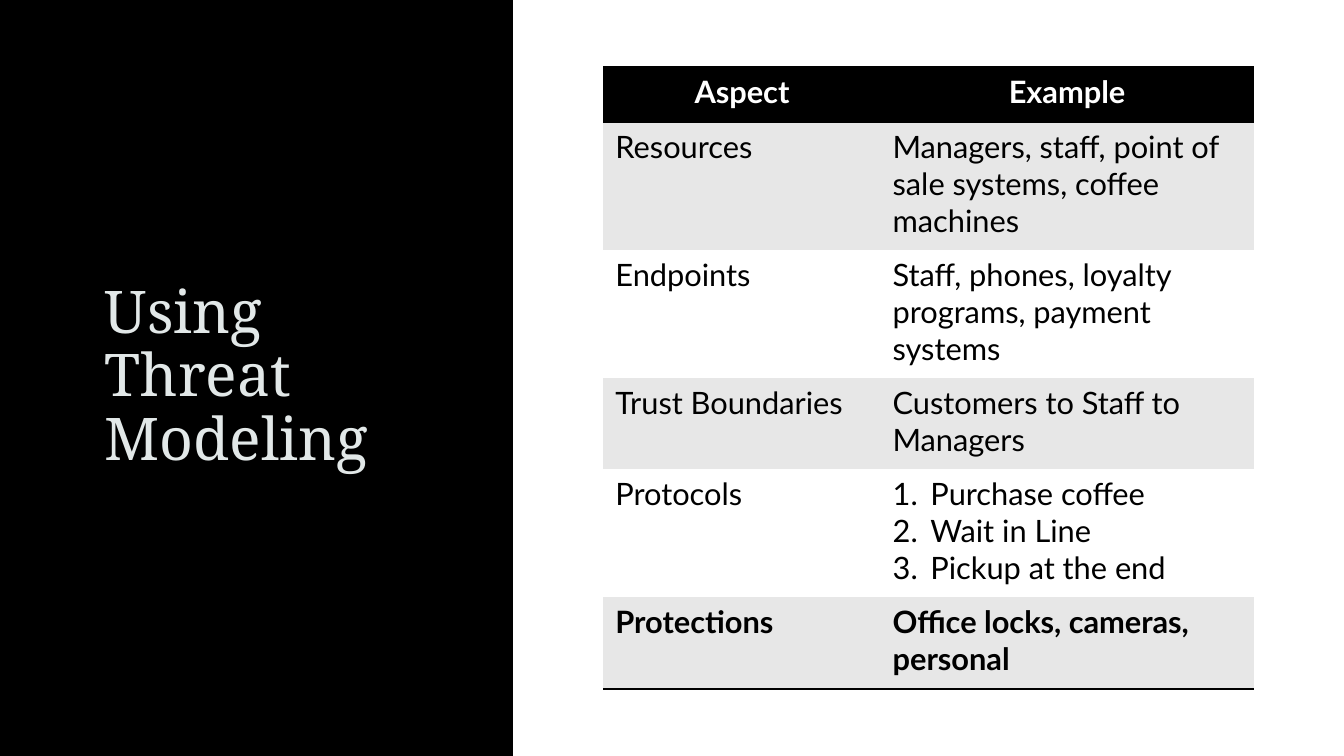
import pptx
import pptx.dml.color
import pptx.enum.shapes
import pptx.enum.text
import pptx.oxml
import pptx.oxml.ns
import pptx.util

Pt = pptx.util.Pt
ALIGN = pptx.enum.text.PP_ALIGN
ANCHOR = pptx.enum.text.MSO_ANCHOR

COLORS = {"black": "000000", "white": "FFFFFF", "band": "E7E7E7", "title": "E2E8E8"}
NO_STYLE = "{2D5ABB26-0587-4C30-8999-92F81FD0307C}"
CELL_FORMAT = {
    "margin_left": Pt(8.64), "margin_right": Pt(8.64),
    "margin_top": Pt(4.32), "margin_bottom": Pt(4.32),
    "vertical_anchor": ANCHOR.TOP,
}
COLUMN_WIDTHS = [198, 266.4]
ROW_HEIGHTS = [39, 91.4, 91.4, 65.5, 91.4, 65.5]
ROWS = [
    ("Aspect", "Example"),
    ("Resources", "Managers, staff, point of sale systems, coffee machines"),
    ("Endpoints", "Staff, phones, loyalty programs, payment systems"),
    ("Trust Boundaries", "Customers to Staff to Managers"),
    ("Protocols", ["Purchase coffee", "Wait in Line", "Pickup at the end"]),
    ("Protections", "Office locks, cameras, personal"),
]


def rgb(name):
    return pptx.dml.color.RGBColor.from_string(COLORS[name])


def apply(obj, values):
    for name, value in values.items():
        setattr(obj, name, value)


def fill(obj, color):
    obj.fill.solid()
    obj.fill.fore_color.rgb = rgb(color)


def add_run(p, text, font, size, color, bold=False):
    r = p.add_run()
    r.text = text
    apply(r.font, {"name": font, "size": Pt(size), "bold": bold})
    r.font.color.rgb = rgb(color)


def number(p, indent):
    pPr = p._p.get_or_add_pPr()
    pPr.set("marL", str(Pt(indent)))
    pPr.set("indent", str(-Pt(indent)))
    for tag, attrs in (("buFont", 'typeface="+mj-lt"'),
                       ("buAutoNum", 'type="arabicPeriod"')):
        pPr.append(pptx.oxml.parse_xml(
            f'<a:{tag} {pptx.oxml.ns.nsdecls("a")} {attrs}/>'))


def border(cell, sides, color, width):
    # Borders come before the fill in the cell properties
    tcPr = cell._tc.get_or_add_tcPr()
    for i, side in enumerate(sides):
        tcPr.insert(i, pptx.oxml.parse_xml(
            f'<a:ln{side} {pptx.oxml.ns.nsdecls("a")} w="{Pt(width)}">'
            f'<a:solidFill><a:srgbClr val="{COLORS[color]}"/></a:solidFill>'
            f'</a:ln{side}>'))


def add_panel(s, left, top, width, height, color):
    sp = s.shapes.add_shape(pptx.enum.shapes.MSO_SHAPE.RECTANGLE,
                            Pt(left), Pt(top), Pt(width), Pt(height))
    sp.shadow.inherit = False
    fill(sp, color)
    sp.line.fill.background()


def set_title(s, text):
    sp = s.shapes.title
    apply(sp, {"left": Pt(67.7), "top": Pt(65.5),
               "width": Pt(266.4), "height": Pt(275.8)})
    tf = sp.text_frame
    apply(tf, {"word_wrap": True, "vertical_anchor": ANCHOR.BOTTOM,
               "auto_size": pptx.enum.text.MSO_AUTO_SIZE.NONE,
               "margin_right": Pt(18)})
    p = tf.paragraphs[0]
    apply(p, {"alignment": ALIGN.LEFT, "line_spacing": 0.9})
    add_run(p, text, "Noto Serif", 42, "title")


def fill_cell(cell, content, header, bold):
    apply(cell, CELL_FORMAT)
    tf = cell.text_frame
    numbered = isinstance(content, list)
    for i, text in enumerate(content if numbered else [content]):
        p = tf.add_paragraph() if i else tf.paragraphs[0]
        p.alignment = ALIGN.CENTER if header else ALIGN.LEFT
        if numbered:
            number(p, 27)
        add_run(p, text, "Lato", 22, "white" if header else "black", bold)


def add_aspect_table(s, left, top):
    frame = s.shapes.add_table(len(ROWS), len(COLUMN_WIDTHS), Pt(left), Pt(top),
                               Pt(sum(COLUMN_WIDTHS)), Pt(sum(ROW_HEIGHTS)))
    table = frame.table
    style = table._tbl.tblPr.find(pptx.oxml.ns.qn("a:tableStyleId"))
    style.text = NO_STYLE
    for column, width in zip(table.columns, COLUMN_WIDTHS):
        column.width = Pt(width)
    last = len(ROWS) - 1
    for i, (row, height) in enumerate(zip(ROWS, ROW_HEIGHTS)):
        table.rows[i].height = Pt(height)
        for j, content in enumerate(row):
            cell = table.cell(i, j)
            fill_cell(cell, content, i == 0, i in (0, last))
            fill(cell, "black" if i == 0 else "band" if i % 2 else "white")
            if i in (0, last):
                border(cell, "TB" if i == 0 else "B", "black", 2)


def main():
    prs = pptx.Presentation()
    apply(prs, {"slide_width": Pt(960), "slide_height": Pt(540)})
    s = prs.slides.add_slide(prs.slide_layouts[5])
    fill(s.background, "black")

    # Title on the dark side
    set_title(s, "Using Threat Modeling")

    # White panel with the table
    add_panel(s, 366.5, 0, 593.5, 540, "white")
    add_aspect_table(s, 431, 48)

    prs.save("out.pptx")


main()
